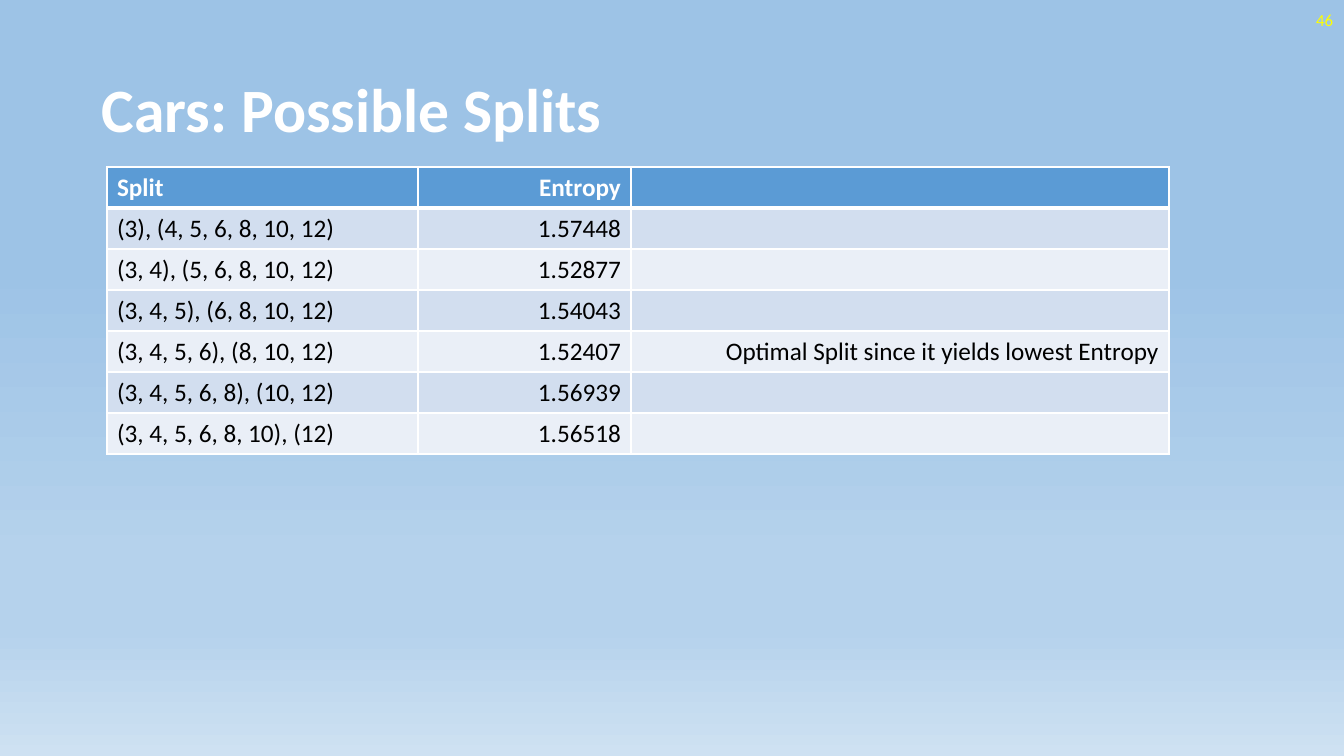
from copy import deepcopy

from lxml import etree
from pptx import Presentation
from pptx.dml.color import RGBColor
from pptx.enum.text import MSO_ANCHOR, PP_ALIGN
from pptx.oxml.ns import qn
from pptx.util import Pt

PX = 914400 / 100.8
LEFT, RIGHT = PP_ALIGN.LEFT, PP_ALIGN.RIGHT
MIDDLE = MSO_ANCHOR.MIDDLE
FONT = "Calibri"

WHITE = RGBColor(0xFF, 0xFF, 0xFF)
BLACK = RGBColor(0x00, 0x00, 0x00)
YELLOW = RGBColor(0xFF, 0xFF, 0x00)
BLUE = RGBColor(0x5B, 0x9B, 0xD5)
BANDS = RGBColor(0xD2, 0xDE, 0xEF), RGBColor(0xEA, 0xEF, 0xF7)
SKY = [
    (35, RGBColor(0x9D, 0xC3, 0xE6)),
    (74, RGBColor(0xB5, 0xD2, 0xEC)),
    (83, RGBColor(0xB5, 0xD2, 0xEC)),
    (100, RGBColor(0xCE, 0xE1, 0xF2)),
]

WIDTHS = [311, 213, 538]
ROW = 41
ROWS = [
    ("Split", "Entropy", ""),
    ("(3), (4, 5, 6, 8, 10, 12)", "1.57448", ""),
    ("(3, 4), (5, 6, 8, 10, 12)", "1.52877", ""),
    ("(3, 4, 5), (6, 8, 10, 12)", "1.54043", ""),
    ("(3, 4, 5, 6), (8, 10, 12)", "1.52407",
     "Optimal Split since it yields lowest Entropy"),
    ("(3, 4, 5, 6, 8), (10, 12)", "1.56939", ""),
    ("(3, 4, 5, 6, 8, 10), (12)", "1.56518", ""),
]


def px(n):
    return round(n * PX)


def paint_sky(slide):
    fill = slide.background.fill
    fill.gradient()
    fill.gradient_angle = 270
    first, last = fill.gradient_stops
    # A new gradient has two stops; double them to get four.
    for stop in (first, last):
        node = stop._gs
        node.addnext(deepcopy(node))
    for stop, (pos, color) in zip(fill.gradient_stops, SKY):
        stop.position = pos / 100
        stop.color.rgb = color


def style(par, size, color, bold=False, align=LEFT):
    par.alignment = align
    font = par.font
    if par.runs:
        font = par.runs[0].font
    font.name = FONT
    font.size = Pt(size)
    font.bold = bold
    font.color.rgb = color


def add_text(slide, text, box, size, color, **look):
    frame = slide.shapes.add_textbox(*map(px, box)).text_frame
    frame.word_wrap = True
    frame.vertical_anchor = MIDDLE
    frame.text = text
    par = frame.paragraphs[0]
    style(par, size, color, **look)
    return par


def add_edges(cell, top, bottom):
    """Draw white cell borders, with top and bottom widths in points."""
    props = cell._tc.get_or_add_tcPr()
    edges = [("lnL", 1), ("lnR", 1), ("lnT", top), ("lnB", bottom)]
    for i, (tag, width) in enumerate(edges):
        line = etree.Element(qn("a:" + tag), w=str(Pt(width)))
        fill = etree.SubElement(line, qn("a:solidFill"))
        etree.SubElement(fill, qn("a:srgbClr"), val=str(WHITE))
        props.insert(i, line)


def add_grid(slide, left, top):
    size = map(px, (left, top, sum(WIDTHS), ROW * len(ROWS)))
    table = slide.shapes.add_table(len(ROWS), len(WIDTHS), *size).table
    for col, width in zip(table.columns, WIDTHS):
        col.width = px(width)
    for r, texts in enumerate(ROWS):
        table.rows[r].height = px(ROW)
        head = r == 0
        for c, text in enumerate(texts):
            cell = table.cell(r, c)
            cell.text = text
            style(cell.text_frame.paragraphs[0], 18,
                  WHITE if head else BLACK, head, RIGHT if c else LEFT)
            cell.fill.solid()
            cell.fill.fore_color.rgb = BLUE if head else BANDS[(r - 1) % 2]
            add_edges(cell, 3 if r == 1 else 1, 3 if head else 1)


def main():
    prs = Presentation()
    prs.slide_width, prs.slide_height = px(1344), px(756)
    slide = prs.slides.add_slide(prs.slide_layouts[6])
    paint_sky(slide)
    title = add_text(slide, "Cars: Possible Splits", (92, 40, 1159, 146),
                     44, WHITE, bold=True)
    title.line_spacing = 0.9
    add_text(slide, "46", (1041, 0, 302, 40), 12, YELLOW, align=RIGHT)
    add_grid(slide, 107, 167)
    prs.save("out.pptx")


if __name__ == "__main__":
    main()
